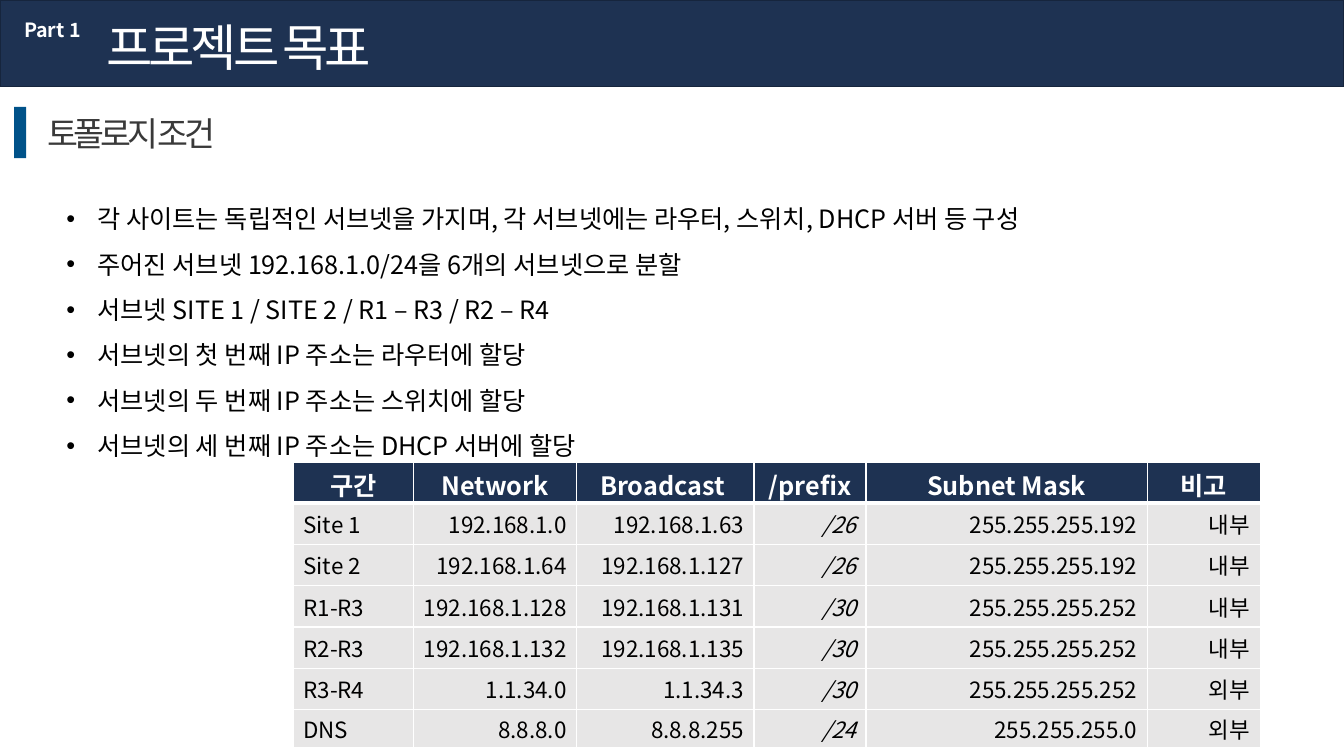
import dataclasses
import typing

import pptx
import pptx.dml.color
import pptx.enum.shapes
import pptx.enum.text
import pptx.oxml.ns
import pptx.util
from lxml import etree

Inches = pptx.util.Inches
Align = pptx.enum.text.PP_ALIGN


@dataclasses.dataclass(frozen=True)
class Theme:
    font: str = "Noto Sans CJK KR"
    navy: str = "1E3252"
    edge: str = "16253D"
    blue: str = "005289"
    gray: str = "393939"
    cell: str = "E7E6E6"
    white: str = "FFFFFF"
    black: str = "000000"
    title: int = 36
    head: int = 24
    body: int = 18
    row: int = 16
    small: int = 14


class Bar(typing.NamedTuple):
    box: tuple[float, float, float, float]
    fill: str
    edge: str | None = None


class Label(typing.NamedTuple):
    box: tuple[float, float, float, float]
    text: str
    size: int
    color: str
    bold: bool = False
    track: int = 0


THEME = Theme()
BARS = (
    Bar((0, 0, 13.33, 0.86), THEME.navy, THEME.edge),
    Bar((0.14, 1.06, 0.12, 0.51), THEME.blue),
)
LABELS = (
    Label((0.37, 1.07, 2.05, 0.5), "토폴로지 조건", THEME.head, THEME.gray, track=-3),
    Label((0.96, 0.11, 3.11, 0.71), "프로젝트 목표", THEME.title, THEME.white, track=-3),
    Label((0.14, 0.13, 0.83, 0.34), "Part 1", THEME.small, THEME.white, bold=True),
)
POINTS = (
    "각 사이트는 독립적인 서브넷을 가지며, 각 서브넷에는 라우터, 스위치, DHCP 서버 등 구성",
    "주어진 서브넷 192.168.1.0/24을 6개의 서브넷으로 분할",
    "서브넷 SITE 1 / SITE 2 / R1 – R3 / R2 – R4",
    "서브넷의 첫 번째 IP 주소는 라우터에 할당",
    "서브넷의 두 번째 IP 주소는 스위치에 할당",
    "서브넷의 세 번째 IP 주소는 DHCP 서버에 할당",
)
HEADS = ("구간", "Network", "Broadcast ", "/prefix", "Subnet Mask", "비고")
NETS = (
    ("Site 1", "192.168.1.0", "192.168.1.63", "/26", "255.255.255.192", "내부"),
    ("Site 2", "192.168.1.64", "192.168.1.127", "/26", "255.255.255.192", "내부"),
    ("R1-R3", "192.168.1.128", "192.168.1.131", "/30", "255.255.255.252", "내부"),
    ("R2-R3", "192.168.1.132", "192.168.1.135", "/30", "255.255.255.252", "내부"),
    ("R3-R4", "1.1.34.0", "1.1.34.3", "/30", "255.255.255.252", "외부"),
    ("DNS", "8.8.8.0", "8.8.8.255", "/24", "255.255.255.0", "외부"),
)
WIDTHS = (1.19, 1.62, 1.76, 1.11, 2.79, 1.12)
HEIGHTS = (0.4, *[0.41] * 5, 0.38)


def tint(code: str) -> pptx.dml.color.RGBColor:
    return pptx.dml.color.RGBColor.from_string(code)


def node(host: typing.Any, tag: str, **attrs: str) -> typing.Any:
    return etree.SubElement(host, pptx.oxml.ns.qn(tag), attrs)


def write(para: typing.Any, text: str, *, size: int, color: str, bold: bool = False,
          slant: bool = False, track: int = 0, align: typing.Any = None) -> None:
    para.alignment = align
    run = para.add_run()
    run.text = text
    font = run.font
    font.name, font.size = THEME.font, pptx.util.Pt(size)
    font.bold, font.italic = bold, slant
    font.color.rgb = tint(color)
    props = run._r.get_or_add_rPr()
    node(props, "a:ea", typeface=THEME.font)
    if track:
        props.set("spc", str(track * 100))


def draw_bar(slide: typing.Any, bar: Bar) -> None:
    kind = pptx.enum.shapes.MSO_SHAPE.RECTANGLE
    shape = slide.shapes.add_shape(kind, *map(Inches, bar.box))
    shape.shadow.inherit = False
    shape.fill.solid()
    shape.fill.fore_color.rgb = tint(bar.fill)
    if bar.edge:
        shape.line.color.rgb = tint(bar.edge)
        shape.line.width = pptx.util.Pt(1)
    else:
        shape.line.fill.background()


def draw_label(slide: typing.Any, label: Label) -> None:
    frame = slide.shapes.add_textbox(*map(Inches, label.box)).text_frame
    frame.word_wrap = False
    write(frame.paragraphs[0], label.text, size=label.size, color=label.color,
          bold=label.bold, track=label.track)


def draw_points(slide: typing.Any) -> None:
    box = map(Inches, (0.56, 1.82, 10.86, 3.22))
    frame = slide.shapes.add_textbox(*box).text_frame
    frame.word_wrap = True
    for i, text in enumerate(POINTS):
        para = frame.add_paragraph() if i else frame.paragraphs[0]
        para.line_spacing = 1.5
        props = para._p.get_or_add_pPr()
        props.set("marL", str(Inches(0.31)))
        props.set("indent", str(Inches(-0.31)))
        node(props, "a:buFont", typeface="Arial")
        node(props, "a:buChar", char="•")
        write(para, text, size=THEME.body, color=THEME.black)


def draw_cell(cell: typing.Any, text: str, row: int, col: int) -> None:
    head = row == 0
    cell.margin_top = Inches(0.03 if head else 0)
    cell.margin_bottom = 0
    cell.vertical_anchor = pptx.enum.text.MSO_ANCHOR.MIDDLE
    align = Align.CENTER if head else Align.RIGHT if col else Align.LEFT
    write(cell.text_frame.paragraphs[0], text, align=align, bold=head,
          size=THEME.body if head else THEME.row,
          color=THEME.white if head else THEME.black,
          slant=not head and HEADS[col] == "/prefix")
    props = cell._tc.get_or_add_tcPr()
    thick = {"a:lnB": 3} if head else {"a:lnT": 3} if row == 1 else {}
    for side in ("a:lnL", "a:lnR", "a:lnT", "a:lnB"):
        line = node(props, side, w=str(pptx.util.Pt(thick.get(side, 1))))
        node(node(line, "a:solidFill"), "a:srgbClr", val=THEME.white)
    cell.fill.solid()
    cell.fill.fore_color.rgb = tint(THEME.navy if head else THEME.cell)


def draw_table(slide: typing.Any) -> None:
    box = map(Inches, (2.91, 4.59, sum(WIDTHS), sum(HEIGHTS)))
    table = slide.shapes.add_table(len(HEIGHTS), len(WIDTHS), *box).table
    for col, width in zip(table.columns, WIDTHS):
        col.width = Inches(width)
    for row, height in zip(table.rows, HEIGHTS):
        row.height = Inches(height)
    for r, texts in enumerate((HEADS, *NETS)):
        for c, text in enumerate(texts):
            draw_cell(table.cell(r, c), text, r, c)


def main() -> None:
    deck = pptx.Presentation()
    deck.slide_width, deck.slide_height = Inches(13.33), Inches(7.5)
    slide = deck.slides.add_slide(deck.slide_layouts[6])
    for bar in BARS:
        draw_bar(slide, bar)
    for label in LABELS:
        draw_label(slide, label)
    draw_points(slide)
    draw_table(slide)
    deck.save("out.pptx")


if __name__ == "__main__":
    main()
